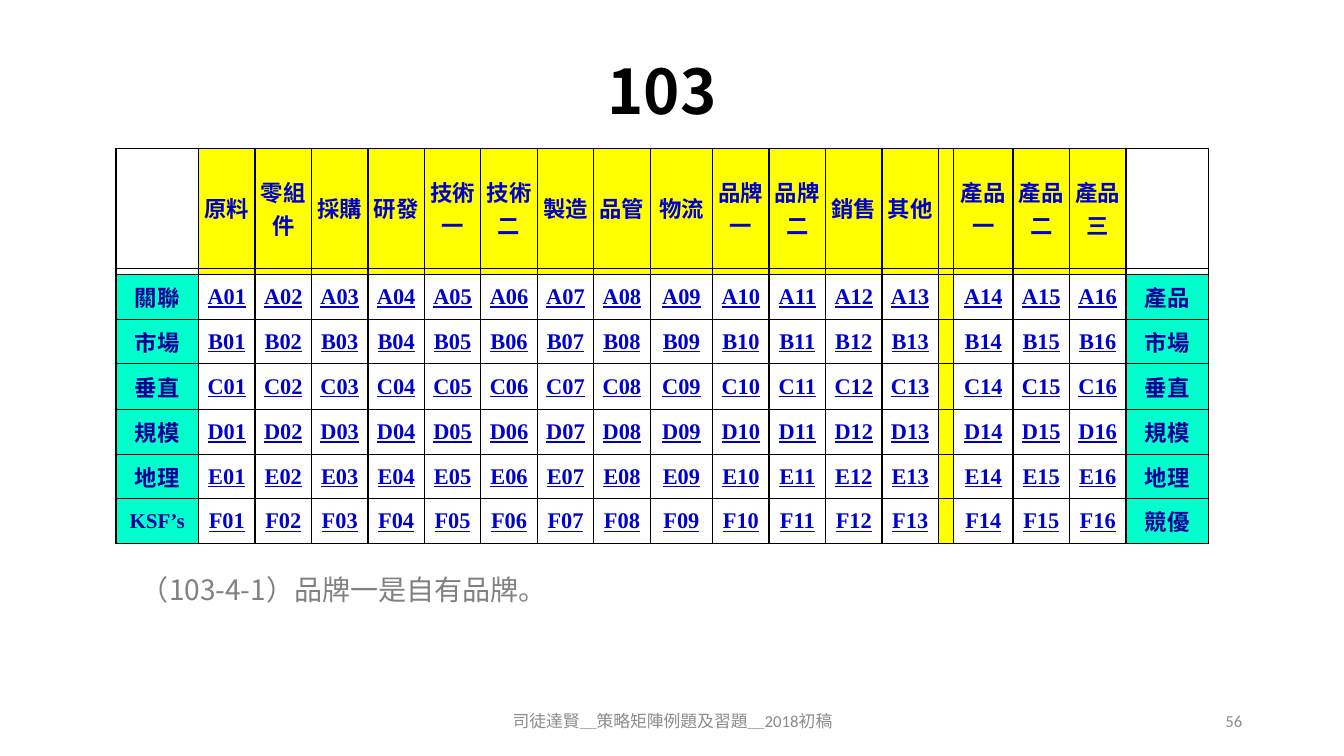
from lxml import etree
from pptx import Presentation
from pptx.dml.color import RGBColor
from pptx.enum.text import MSO_ANCHOR, PP_ALIGN
from pptx.oxml.ns import qn
from pptx.util import Inches, Pt

SANS, CALIBRI, TIMES = "Noto Sans CJK SC", "Calibri", "Times New Roman"
YELLOW, TEAL, WHITE, BLACK = "FFFF00", "00FFCC", "FFFFFF", "000000"
LINK_BLUE, NAVY, GREY, FOOTER_GREY = "0000CC", "000099", "808080", "8C8C8C"

STAGES = ["原料", "零組件", "採購", "研發", "技術一", "技術二", "製造", "品管", "物流",
          "品牌一", "品牌二", "銷售", "其他"]
PRODUCTS = ["產品一", "產品二", "產品三"]
# Row letter, label on the left, label on the right
FACTORS = [("A", "關聯", "產品"), ("B", "市場", "市場"), ("C", "垂直", "垂直"),
           ("D", "規模", "規模"), ("E", "地理", "地理"), ("F", "KSF’s", "競優")]
GAP = len(STAGES) + 1
COLUMN_WIDTHS = ([0.82] + [0.56] * 8 + [0.62] + [0.56] * 4
                 + [0.15, 0.59, 0.56, 0.56, 0.82])
ROW_HEIGHTS = [1.19, 0.06, 0.45, 0.44, 0.45, 0.45, 0.44, 0.44]


def color(value):
    return RGBColor.from_string(value)


def add_run(paragraph, text, size, font, ink, bold=False, underline=False):
    run = paragraph.add_run()
    run.text = text
    run.font.size = Pt(size)
    run.font.name = font
    run.font.bold = bold
    run.font.underline = underline
    run.font.color.rgb = color(ink)
    east_asian = etree.Element(qn("a:ea"), typeface=SANS)
    run.font._element.find(qn("a:latin")).addnext(east_asian)


def add_text(slide, box, text, size, font, ink, align=PP_ALIGN.LEFT,
             anchor=MSO_ANCHOR.MIDDLE, bold=False, spacing=None):
    frame = slide.shapes.add_textbox(*map(Inches, box)).text_frame
    frame.word_wrap = True
    frame.vertical_anchor = anchor
    paragraph = frame.paragraphs[0]
    paragraph.alignment = align
    paragraph.line_spacing = spacing
    add_run(paragraph, text, size, font, ink, bold)


def add_borders(cell):
    properties = cell._tc.get_or_add_tcPr()
    for position, side in enumerate(("a:lnL", "a:lnR", "a:lnT", "a:lnB")):
        line = etree.Element(qn(side), w=str(Pt(1)))
        fill = etree.SubElement(line, qn("a:solidFill"))
        etree.SubElement(fill, qn("a:srgbClr"), val=BLACK)
        properties.insert(position, line)


def style_cell(cell, fill):
    cell.fill.solid()
    cell.fill.fore_color.rgb = color(fill)
    cell.vertical_anchor = MSO_ANCHOR.MIDDLE
    cell.margin_left = cell.margin_right = Inches(0.05)
    cell.margin_top = cell.margin_bottom = 0
    add_borders(cell)


def fill_cell(cell, text, fill, ink=LINK_BLUE, font=CALIBRI, size=16,
              underline=False):
    style_cell(cell, fill)
    paragraph = cell.text_frame.paragraphs[0]
    paragraph.alignment = PP_ALIGN.CENTER
    if text:
        add_run(paragraph, text, size, font, ink, True, underline)
    else:
        # A tiny end mark lets the thin row keep its height
        etree.SubElement(paragraph._p, qn("a:endParaRPr"), sz="100")


def add_strategy_matrix(slide):
    frame = slide.shapes.add_table(
        len(ROW_HEIGHTS), len(COLUMN_WIDTHS), Inches(1.15), Inches(1.47),
        Inches(sum(COLUMN_WIDTHS)), Inches(sum(ROW_HEIGHTS)))
    matrix = frame.table
    matrix.horz_banding = False
    for column, width in zip(matrix.columns, COLUMN_WIDTHS):
        column.width = Inches(width)
    for row, height in zip(matrix.rows, ROW_HEIGHTS):
        row.height = Inches(height)

    # Header and the thin strip below it
    headings = ["", *STAGES, "", *PRODUCTS, ""]
    last = len(headings) - 1
    for column, heading in enumerate(headings):
        fill = WHITE if column in (0, last) else YELLOW
        fill_cell(matrix.cell(0, column), heading, fill)
        fill_cell(matrix.cell(1, column), "", fill)

    # Factor rows: label, numbered codes around the gap, label
    for row, (letter, left, right) in enumerate(FACTORS, start=2):
        latin = left.startswith("KSF")
        fill_cell(matrix.cell(row, 0), left, TEAL, NAVY,
                  TIMES if latin else CALIBRI, 15 if latin else 16)
        for column in range(1, last):
            cell = matrix.cell(row, column)
            if column == GAP:
                fill_cell(cell, "", YELLOW)
            else:
                number = column - (column > GAP)
                fill_cell(cell, f"{letter}{number:02}", WHITE, font=TIMES,
                          underline=True)
        fill_cell(matrix.cell(row, last), right, TEAL, NAVY)


def main():
    deck = Presentation()
    deck.slide_width, deck.slide_height = Inches(13.33), Inches(7.5)
    slide = deck.slides.add_slide(deck.slide_layouts[6])

    # Title
    add_text(slide, (0.92, 0.4, 11.29, 1.07), "103", 44, SANS, BLACK,
             PP_ALIGN.CENTER, bold=True, spacing=0.9)
    add_strategy_matrix(slide)
    # Remark below the matrix
    add_text(slide, (1.3, 5.67, 10.67, 0.4), "（103-4-1）品牌一是自有品牌。", 20,
             SANS, GREY, anchor=MSO_ANCHOR.TOP, spacing=0.9)
    # Footer and page number
    add_text(slide, (4.42, 6.95, 4.5, 0.4), "司徒達賢＿策略矩陣例題及習題＿2018初稿",
             12, CALIBRI, FOOTER_GREY, PP_ALIGN.CENTER)
    add_text(slide, (9.42, 6.95, 3, 0.4), "56", 12, CALIBRI, FOOTER_GREY,
             PP_ALIGN.RIGHT)

    deck.save("out.pptx")


if __name__ == "__main__":
    main()
